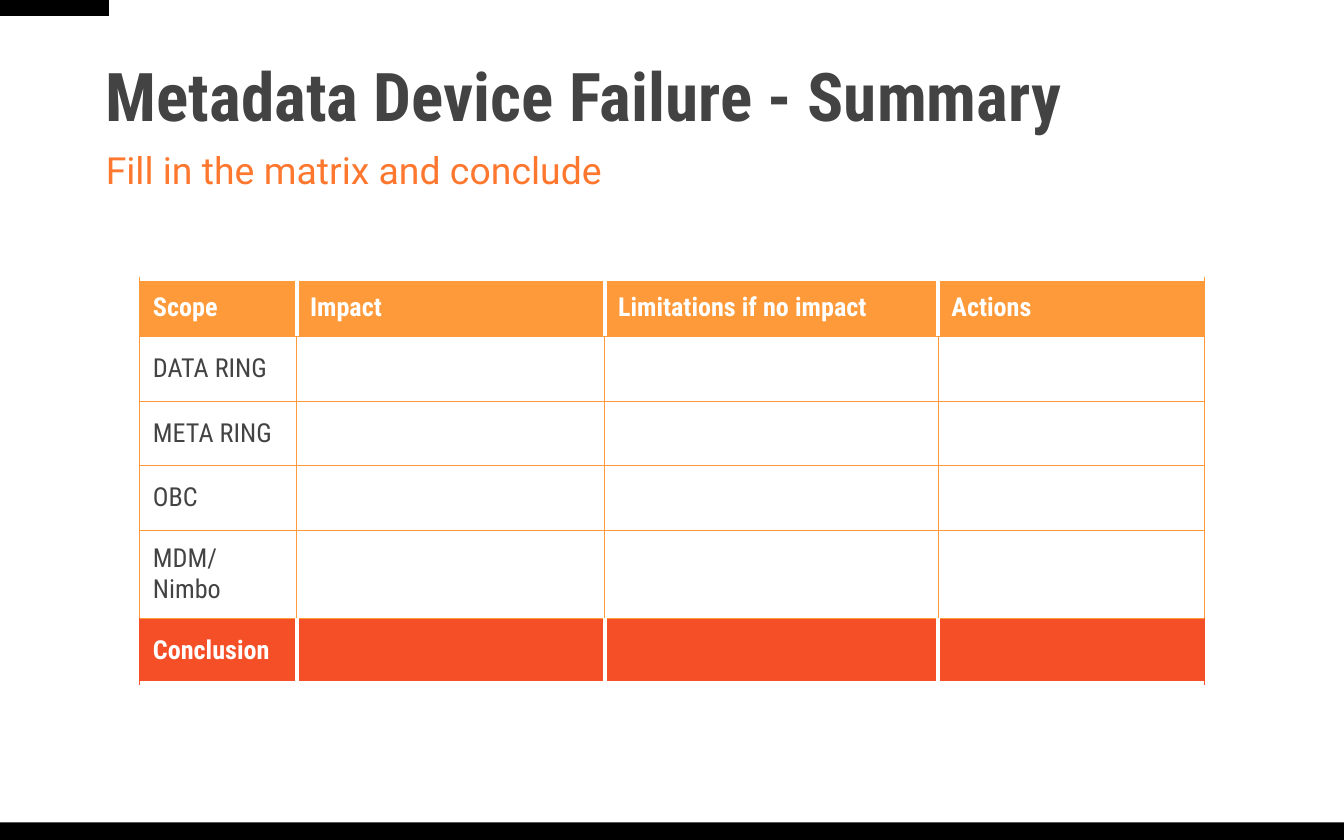
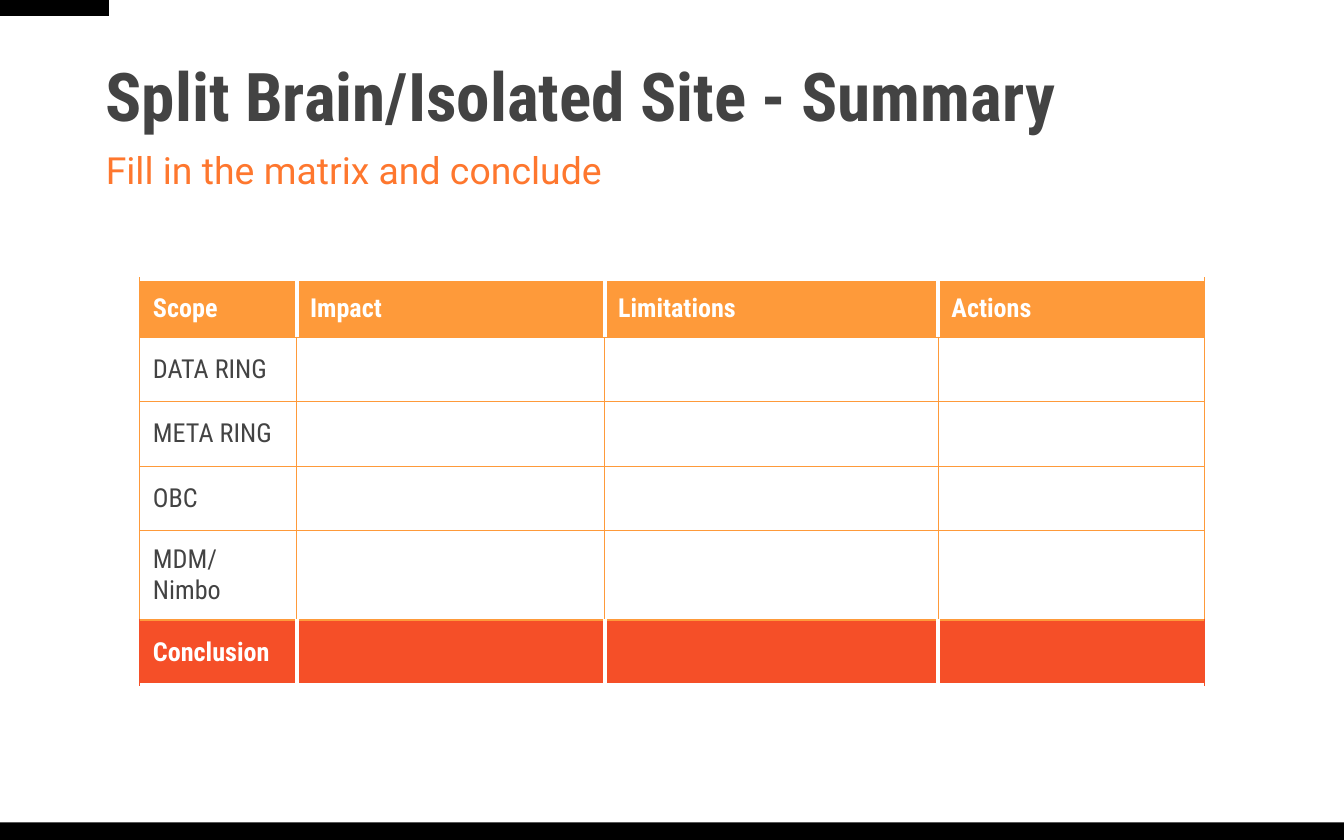
from dataclasses import dataclass

from lxml import etree
from pptx import Presentation
from pptx import util as u
from pptx.dml import color
from pptx.enum import shapes, text
from pptx.oxml import ns
from pptx.slide import Slide
from pptx.table import Table, _Cell
from pptx.text.text import TextFrame

COLORS = {
    "black": "000000",
    "white": "FFFFFF",
    "dark": "434343",
    "subtitle": "FE772E",
    "header": "FE9A3A",
    "conclusion": "F54F28",
}
CONDENSED = "Roboto Condensed"
SLIDE_WIDTH, SLIDE_HEIGHT = u.Cm(25.4), u.Cm(15.88)
COLUMN_WIDTHS = [u.Cm(width) for width in (2.97, 5.82, 6.3, 5.03)]
HEADER_HEIGHT, ROW_HEIGHT = u.Cm(1.08), u.Cm(1.22)
SCOPES = ("DATA RING", "META RING", "OBC", "MDM/Nimbo")
CELL_INSET = u.Cm(0.25)
THIN, THICK = 0.75, 2.25


@dataclass(frozen=True)
class Box:
    left: u.Length
    top: u.Length
    width: u.Length
    height: u.Length


@dataclass(frozen=True)
class TextStyle:
    font: str
    size: float
    color: str
    bold: bool = False
    line_spacing: float = 1.0
    space_before: float = 0


@dataclass(frozen=True)
class Summary:
    title: str
    limitations: str


BANDS = (
    Box(u.Cm(0), u.Cm(15.55), SLIDE_WIDTH, u.Cm(0.33)),
    Box(u.Cm(0), u.Cm(0), u.Cm(2.06), u.Cm(0.3)),
)
TITLE_BOX = Box(u.Cm(1.75), u.Cm(0.36), u.Cm(21.9), u.Cm(3.07))
SUBTITLE_BOX = Box(u.Cm(1.75), u.Cm(2.72), u.Cm(21.9), u.Cm(0.99))
TABLE_BOX = Box(u.Cm(2.64), u.Cm(5.28), u.Length(sum(COLUMN_WIDTHS)),
                u.Length(HEADER_HEIGHT + ROW_HEIGHT * (len(SCOPES) + 1)))

TITLE = TextStyle(CONDENSED, 36, "dark", bold=True, line_spacing=0.9)
SUBTITLE = TextStyle("Roboto", 20, "subtitle", space_before=3)
CELL_STRONG = TextStyle(CONDENSED, 14, "white", bold=True)
CELL_PLAIN = TextStyle(CONDENSED, 14, "dark")

SUMMARIES = (
    Summary("Metadata Device Failure - Summary", "Limitations if no impact"),
    Summary("Split Brain/Isolated Site - Summary", "Limitations"),
)


def rgb(name: str) -> color.RGBColor:
    return color.RGBColor.from_string(COLORS[name])


def write(frame: TextFrame, words: str, style: TextStyle) -> None:
    frame.text = words
    paragraph = frame.paragraphs[0]
    paragraph.line_spacing = style.line_spacing
    paragraph.space_before = u.Pt(style.space_before)
    font = paragraph.font
    font.name, font.size, font.bold = style.font, u.Pt(style.size), style.bold
    font.color.rgb = rgb(style.color)


def add_band(slide: Slide, box: Box) -> None:
    shape = slide.shapes.add_shape(
        shapes.MSO_SHAPE.RECTANGLE, box.left, box.top, box.width, box.height)
    shape.shadow.inherit = False
    shape.fill.solid()
    shape.fill.fore_color.rgb = rgb("black")
    shape.line.fill.background()


def add_text(slide: Slide, box: Box, words: str, style: TextStyle) -> None:
    shape = slide.shapes.add_textbox(box.left, box.top, box.width, box.height)
    frame = shape.text_frame
    frame.word_wrap = True
    frame.vertical_anchor = text.MSO_ANCHOR.MIDDLE
    write(frame, words, style)


def add_border(cell: _Cell, side: str, name: str, points: float) -> None:
    """Draw one cell edge; side is L, R, T or B."""
    properties = cell._tc.get_or_add_tcPr()
    line = etree.SubElement(properties, ns.qn(f"a:ln{side}"), w=str(u.Pt(points)))
    fill = etree.SubElement(line, ns.qn("a:solidFill"))
    etree.SubElement(fill, ns.qn("a:srgbClr"), val=COLORS[name])


def format_cell(table: Table, row: int, column: int, words: str) -> None:
    last_row, last_column = len(table.rows) - 1, len(table.columns) - 1
    band = {0: "header", last_row: "conclusion"}.get(row)
    outer = (band or "header", THIN)
    inner = ("white", THICK) if band else outer
    edges = {
        "L": outer if column == 0 else inner,
        "R": outer if column == last_column else inner,
        "T": inner if row == 0 else ("header", THIN),
        "B": inner if row == last_row else ("header", THIN),
    }
    cell = table.cell(row, column)
    cell.vertical_anchor = text.MSO_ANCHOR.MIDDLE
    cell.margin_left = cell.margin_right = CELL_INSET
    cell.margin_top = cell.margin_bottom = CELL_INSET
    for side, (name, points) in edges.items():
        add_border(cell, side, name, points)
    if band:
        cell.fill.solid()
        cell.fill.fore_color.rgb = rgb(band)
    else:
        cell.fill.background()
    write(cell.text_frame, words, CELL_STRONG if band else CELL_PLAIN)


def add_matrix(slide: Slide, limitations: str) -> None:
    headings = ("Scope", "Impact", limitations, "Actions")
    blanks = ("",) * (len(headings) - 1)
    rows = [headings, *((scope, *blanks) for scope in (*SCOPES, "Conclusion"))]
    box = TABLE_BOX
    table = slide.shapes.add_table(
        len(rows), len(headings), box.left, box.top, box.width, box.height).table
    table.first_row = table.horz_banding = False
    for column, width in zip(table.columns, COLUMN_WIDTHS):
        column.width = width
    for index, row in enumerate(rows):
        table.rows[index].height = ROW_HEIGHT if index else HEADER_HEIGHT
        for column, words in enumerate(row):
            format_cell(table, index, column, words)


def add_summary(presentation, summary: Summary) -> None:
    slide = presentation.slides.add_slide(presentation.slide_layouts[6])
    for band in BANDS:
        add_band(slide, band)
    add_matrix(slide, summary.limitations)
    add_text(slide, TITLE_BOX, summary.title, TITLE)
    add_text(slide, SUBTITLE_BOX, "Fill in the matrix and conclude", SUBTITLE)


def main() -> None:
    presentation = Presentation()
    presentation.slide_width = SLIDE_WIDTH
    presentation.slide_height = SLIDE_HEIGHT
    for summary in SUMMARIES:
        add_summary(presentation, summary)
    presentation.save("out.pptx")


if __name__ == "__main__":
    main()
